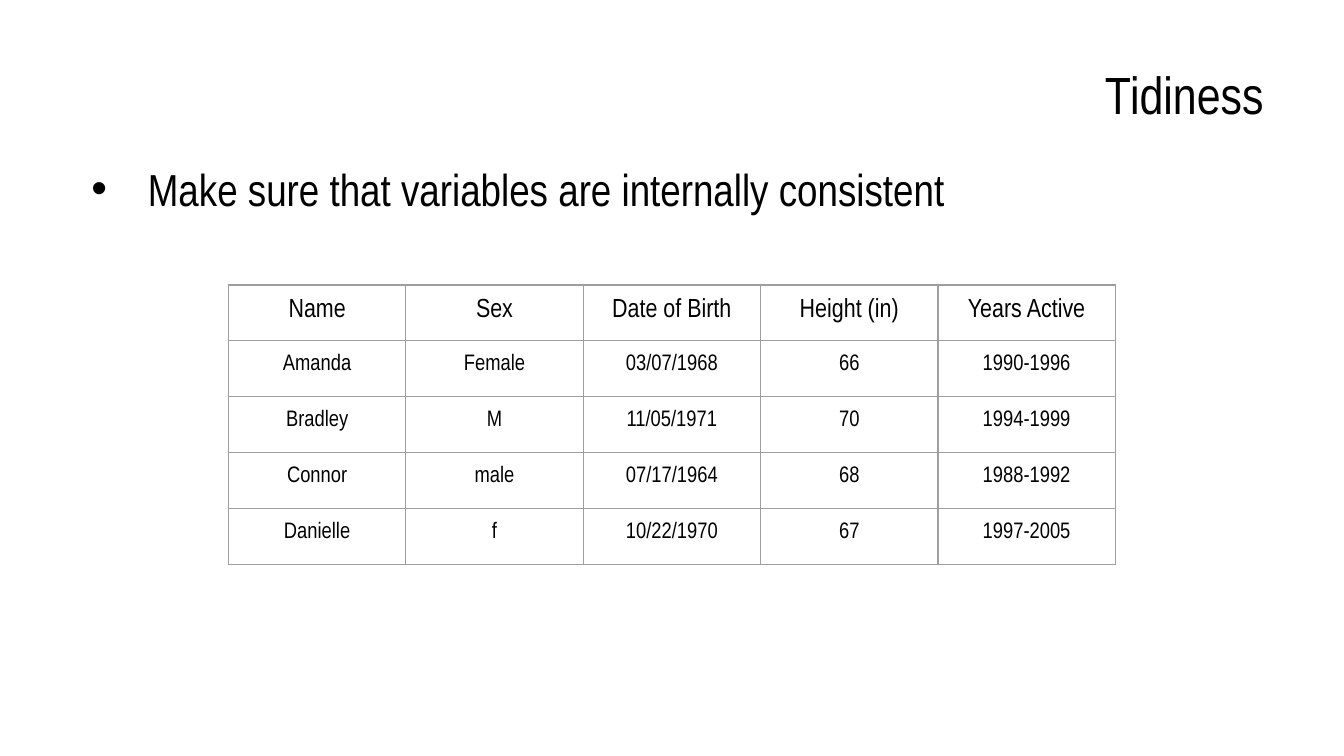
from lxml.etree import SubElement
from pptx import Presentation
from pptx.dml.color import RGBColor
from pptx.enum.text import MSO_ANCHOR, MSO_AUTO_SIZE, PP_ALIGN
from pptx.oxml.ns import qn
from pptx.util import Inches, Pt

BLACK = RGBColor(0x00, 0x00, 0x00)
GREY = RGBColor(0x9E, 0x9E, 0x9E)
FONT = "Arial Narrow"
PAD = Inches(0.1)
ROWS = [
    ("Name", "Sex", "Date of Birth", "Height (in)", "Years Active"),
    ("Amanda", "Female", "03/07/1968", "66", "1990-1996"),
    ("Bradley", "M", "11/05/1971", "70", "1994-1999"),
    ("Connor", "male", "07/17/1964", "68", "1988-1992"),
    ("Danielle", "f", "10/22/1970", "67", "1997-2005"),
]


def write(para, text, size=12, align=PP_ALIGN.LEFT, color=BLACK, font=FONT):
    para.alignment = align
    para.space_before = Pt(0)
    run = para.add_run()
    run.text = text
    run.font.name = font
    run.font.size = Pt(size)
    run.font.bold = False
    run.font.color.rgb = color


def add_color(parent, color):
    SubElement(parent, qn("a:srgbClr"), val=str(color))


class Deck:
    def __init__(self, width):
        self.show = Presentation()
        self.show.slide_width = Inches(width)
        self.show.slide_height = Inches(width * 9 / 16)
        self.slide = self.show.slides.add_slide(self.show.slide_layouts[1])

    def place(self, index, box, anchor):
        shape = self.slide.placeholders[index]
        shape.left, shape.top, shape.width, shape.height = map(Inches, box)
        frame = shape.text_frame
        frame.word_wrap = True
        frame.auto_size = MSO_AUTO_SIZE.NONE
        frame.vertical_anchor = anchor
        self.pad(frame)
        return frame

    def pad(self, item):
        item.margin_left = item.margin_right = PAD
        item.margin_top = item.margin_bottom = PAD

    def title(self, text, box):
        frame = self.place(0, box, MSO_ANCHOR.MIDDLE)
        write(frame.paragraphs[0], text, size=28, align=PP_ALIGN.RIGHT)

    def bullets(self, lines, box):
        frame = self.place(1, box, MSO_ANCHOR.TOP)
        for i, line in enumerate(lines):
            para = frame.add_paragraph() if i else frame.paragraphs[0]
            props = para._p.get_or_add_pPr()
            props.set("marL", str(Inches(0.5)))
            props.set("indent", str(Inches(-0.42)))
            add_color(SubElement(props, qn("a:buClr")), BLACK)
            SubElement(props, qn("a:buFont"), typeface="Arial")
            SubElement(props, qn("a:buChar"), char="•")
            write(para, line, size=24)

    def border(self, cell):
        props = cell._tc.get_or_add_tcPr()
        for side in ("lnL", "lnR", "lnT", "lnB"):
            line = SubElement(props, qn(f"a:{side}"), w=str(Pt(0.75)))
            add_color(SubElement(line, qn("a:solidFill")), GREY)

    def table(self, rows, box):
        table = self.slide.shapes.add_table(
            len(rows), len(rows[0]), *map(Inches, box)).table
        table.first_row = table.horz_banding = False
        for r, row in enumerate(rows):
            for c, text in enumerate(row):
                cell = table.cell(r, c)
                self.pad(cell)
                self.border(cell)
                cell.fill.background()
                write(cell.text_frame.paragraphs[0], text,
                      size=12 if r else 14, align=PP_ALIGN.CENTER)


def main():
    deck = Deck(10)
    deck.title("Tidiness", (0.5, 0.23, 9, 0.94))
    deck.bullets(["Make sure that variables are internally consistent"],
                 (0.5, 1.1, 9, 3.71))
    deck.table(ROWS, (1.7, 2.12, 6.6, 2.08))
    deck.show.save("out.pptx")


if __name__ == "__main__":
    main()
